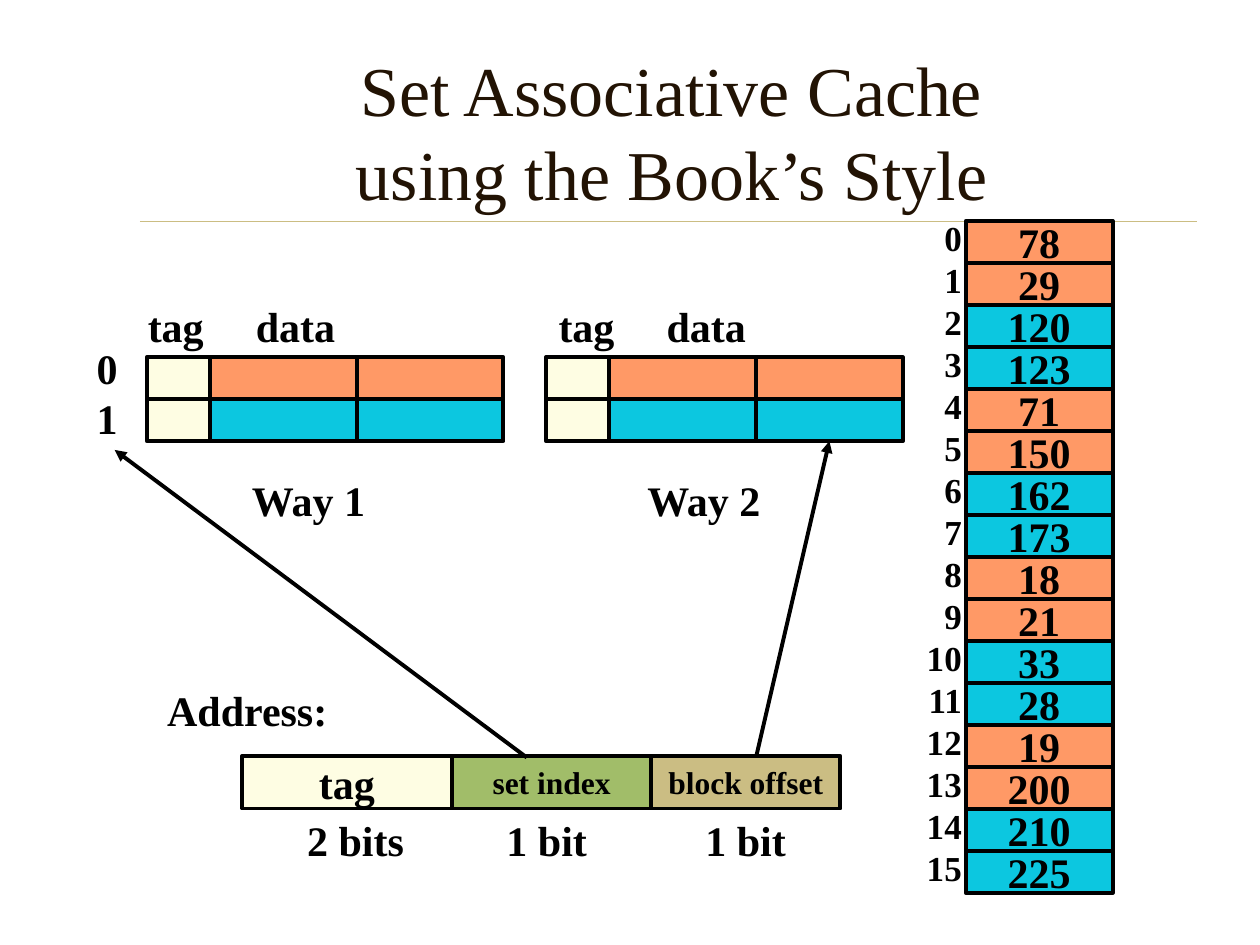
from dataclasses import dataclass

from lxml.etree import SubElement
from pptx import Presentation
from pptx.dml.color import RGBColor as Rgb
from pptx.enum.shapes import MSO_CONNECTOR as Link, MSO_SHAPE as Preset
from pptx.enum.text import MSO_ANCHOR as Anchor, MSO_AUTO_SIZE as Fit, PP_ALIGN as Align
from pptx.oxml.ns import qn
from pptx.util import Cm, Pt


@dataclass(frozen=True)
class Theme:
    font: str = "Times New Roman"
    ink: Rgb = Rgb.from_string("000000")
    heading: Rgb = Rgb.from_string("221304")
    tag: Rgb = Rgb.from_string("FEFDE3")
    even: Rgb = Rgb.from_string("FF9966")
    odd: Rgb = Rgb.from_string("0CC7E0")
    index: Rgb = Rgb.from_string("A1BD69")
    offset: Rgb = Rgb.from_string("CBBD83")
    title_size: int = 40
    size: int = 24
    number_size: int = 20
    field_size: int = 18
    border: float = 2.25
    hairline: float = 0.25


theme = Theme()


def write(frame, lines, size, align=Align.LEFT, anchor=Anchor.TOP, bold=True, color=theme.ink):
    frame_format = {
        "word_wrap": False, "auto_size": Fit.NONE, "vertical_anchor": anchor,
        "margin_left": Cm(0.25), "margin_right": Cm(0.25),
        "margin_top": Cm(0.13), "margin_bottom": Cm(0.13),
    }
    for name, value in frame_format.items():
        setattr(frame, name, value)
    frame.text = "\n".join(lines)
    font_format = {"name": theme.font, "size": Pt(size), "bold": bold}
    for paragraph in frame.paragraphs:
        paragraph.alignment = align
        paragraph.line_spacing = Pt(size * 1.2)
        for name, value in font_format.items():
            setattr(paragraph.font, name, value)
        paragraph.font.color.rgb = color


def cell(left, top, width, height, fill, text="", size=theme.size):
    block = slide.shapes.add_shape(Preset.RECTANGLE, Cm(left), Cm(top), Cm(width), Cm(height))
    block.shadow.inherit = False
    block.fill.solid()
    block.fill.fore_color.rgb = fill
    block.line.color.rgb = theme.ink
    block.line.width = Pt(theme.border)
    if text:
        write(block.text_frame, [text], size, Align.CENTER, Anchor.MIDDLE)
    return block


deck = Presentation()
deck.slide_width, deck.slide_height = Cm(25.4), Cm(19.05)
slide = deck.slides.add_slide(deck.slide_layouts[5])

title = slide.shapes.title
title_place = {"left": Cm(2.96), "top": Cm(0.81), "width": Cm(21.16), "height": Cm(3.66)}
for name, value in title_place.items():
    setattr(title, name, value)
write(title.text_frame, ["Set Associative Cache\vusing the Book’s Style"], theme.title_size,
      Align.CENTER, Anchor.MIDDLE, bold=False, color=theme.heading)
title.text_frame.word_wrap = True

rule = slide.shapes.add_connector(Link.STRAIGHT, Cm(2.82), Cm(4.45), Cm(24.13), Cm(4.45))

memory = [78, 29, 120, 123, 71, 150, 162, 173, 18, 21, 33, 28, 19, 200, 210, 225]
memory_left, memory_top = 19.47, 4.45
row_height = 13.55 / len(memory)
word_width = 2.96
set_fills = [theme.even, theme.odd]
for address, word in enumerate(memory):
    cell(memory_left, memory_top + address * row_height, word_width, row_height,
         set_fills[address // 2 % 2], str(word))

way_lefts, way_top = [2.96, 11.01], 7.2
for way_left in way_lefts:
    for row, set_fill in enumerate(set_fills):
        top = way_top + row * row_height
        cell(way_left, top, 1.48, row_height, theme.tag)
        for word in range(2):
            last_word = cell(way_left + 1.27 + word * word_width, top,
                             word_width, row_height, set_fill)

fields = [
    ("tag", 4.23, theme.tag, theme.size),
    ("set index", 4.02, theme.index, theme.field_size),
    ("block offset", 3.81, theme.offset, theme.field_size),
]
field_left, field_top = 4.88, 15.24
for field, width, fill, size in fields:
    cell(field_left, field_top, width, 1.06, fill, field, size)
    field_left += width

label_height = 1.27
labels = [
    (["Address:"], 3.12, 13.66, 3.76, label_height),
    (["2 bits"], 5.94, 16.3, 2.46, label_height),
    (["1 bit"], 9.96, 16.3, 2.13, label_height),
    (["1 bit"], 13.97, 16.3, 2.13, label_height),
    (["0", "1"], 1.7, 6.77, 0.91, 2.29),
    (["Way 1"], 4.83, 9.43, 2.79, label_height),
    (["Way 2"], 12.8, 9.43, 2.79, label_height),
]
for tag_left in (2.73, 11.01):
    labels += [
        (["tag"], tag_left, 5.93, 1.63, label_height),
        (["data"], tag_left + 2.18, 5.93, 2.1, label_height),
    ]
for lines, left, top, width, height in labels:
    label = slide.shapes.add_textbox(Cm(left), Cm(top), Cm(width), Cm(height))
    write(label.text_frame, lines, theme.size)

addresses = slide.shapes.add_textbox(Cm(18.42), Cm(4.23), Cm(1.22), Cm(13.82))
write(addresses.text_frame, [str(address) for address in range(len(memory))],
      theme.number_size, Align.RIGHT)

index_arrow = slide.shapes.add_connector(Link.STRAIGHT, Cm(10.62), Cm(15.27), Cm(2.31), Cm(9.07))
offset_arrow = slide.shapes.add_connector(Link.STRAIGHT, Cm(15.24), Cm(15.27), Cm(16.71), Cm(8.89))
offset_arrow.end_connect(last_word, 2)

strokes = [
    (rule, theme.offset, theme.hairline, False),
    (index_arrow, theme.ink, theme.border, True),
    (offset_arrow, theme.ink, theme.border, True),
]
for stroke, color, weight, pointed in strokes:
    stroke.line.color.rgb = color
    stroke.line.width = Pt(weight)
    if pointed:
        SubElement(stroke.line._get_or_add_ln(), qn("a:tailEnd"), type="triangle")
    SubElement(stroke._element.spPr, qn("a:effectLst"))

deck.save("out.pptx")
